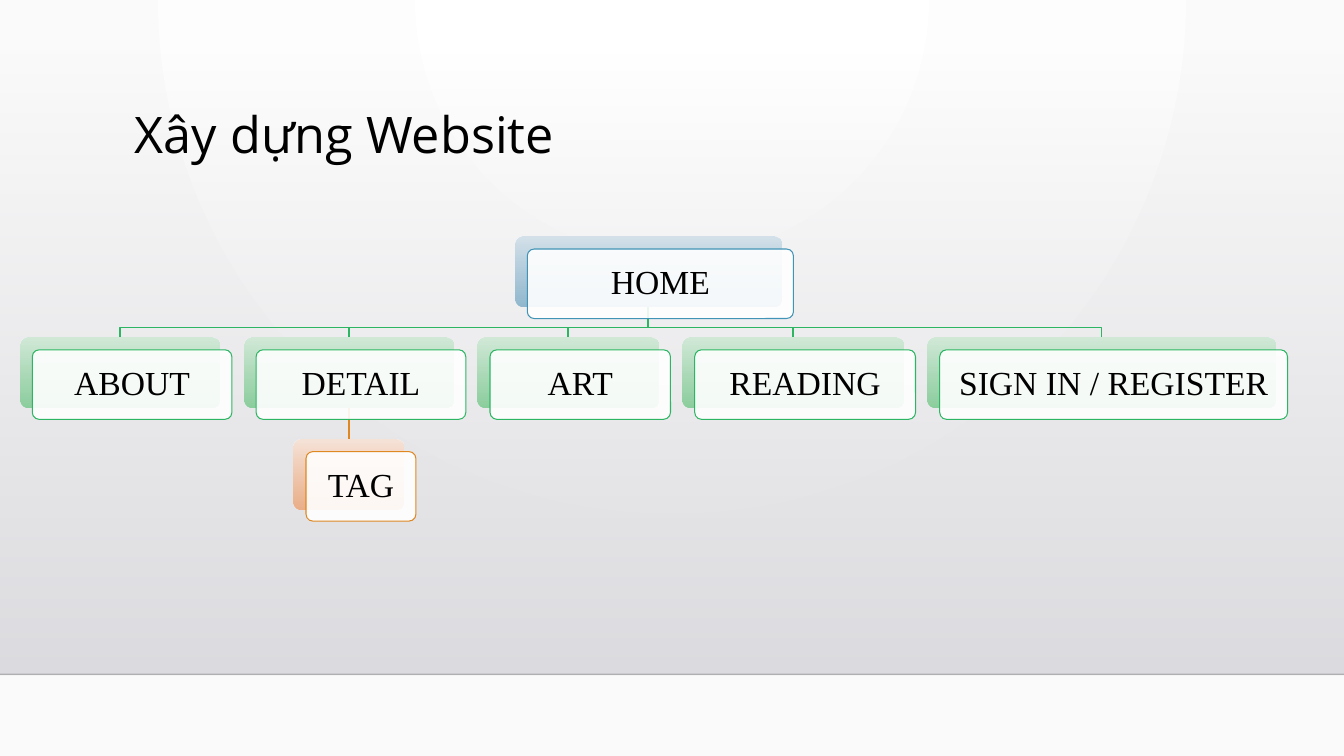
from lxml.etree import SubElement
from pptx import Presentation
from pptx.dml.color import RGBColor
from pptx.enum.shapes import MSO_CONNECTOR, MSO_SHAPE
from pptx.enum.text import MSO_ANCHOR, PP_ALIGN
from pptx.oxml.ns import qn
from pptx.util import Inches, Pt

BLACK = RGBColor(0x00, 0x00, 0x00)
WHITE = RGBColor(0xFF, 0xFF, 0xFF)
FLOOR = RGBColor(0xFA, 0xFA, 0xFA)
WALL_TOP = RGBColor(0xDC, 0xDC, 0xE0)
WALL_BOTTOM = RGBColor(0xDE, 0xDE, 0xE2)
BLUE = RGBColor(0x42, 0x94, 0xB6)
BLUE_LIGHT = RGBColor(0xD4, 0xE1, 0xEA)
BLUE_MIDDLE = RGBColor(0x8A, 0xB4, 0xCC)
GREEN = RGBColor(0x2C, 0xB6, 0x63)
GREEN_LIGHT = RGBColor(0xD2, 0xE9, 0xD8)
GREEN_MIDDLE = RGBColor(0x85, 0xCC, 0x98)
ORANGE = RGBColor(0xDF, 0x88, 0x22)
ORANGE_LIGHT = RGBColor(0xF7, 0xE3, 0xD8)
ORANGE_MIDDLE = RGBColor(0xEB, 0xAB, 0x82)

BLUE_THEME = (BLUE, BLUE_LIGHT, BLUE_MIDDLE)
GREEN_THEME = (GREEN, GREEN_LIGHT, GREEN_MIDDLE)
ORANGE_THEME = (ORANGE, ORANGE_LIGHT, ORANGE_MIDDLE)

WIDTH, HEIGHT = 13.33, 7.5
FLOOR_TOP = 6.69
CARD_HEIGHT = 0.69
CARD_OFFSET = 0.12
CARD_GAP = 0.24
HOME_LEFT, HOME_TOP, HOME_WIDTH = 5.11, 2.35, 2.64
MENU_LEFT, MENU_TOP = 0.2, 3.35
TAG_TOP, TAG_WIDTH = 4.36, 1.09
BRANCH_TOP = 3.25
MENU = [("ABOUT", 1.98), ("DETAIL", 2.08), ("ART", 1.79),
        ("READING", 2.19), ("SIGN IN / REGISTER", 3.45)]


def set_alpha(color_element, percent):
    SubElement(color_element, qn("a:alpha")).set("val", str(percent * 1000))


def set_gradient(fill, colors):
    fill.gradient()
    for stop, position, color in zip(fill.gradient_stops, (0, 1), colors):
        stop.position = position
        stop.color.rgb = color


def write_text(shape, text, size=24, font="Times New Roman", color=BLACK,
               align=PP_ALIGN.CENTER, anchor=MSO_ANCHOR.MIDDLE, inset=0.1):
    frame = shape.text_frame
    frame.word_wrap = True
    frame.vertical_anchor = anchor
    frame.margin_top = frame.margin_bottom = Inches(inset)
    frame.margin_left = frame.margin_right = Inches(0.1)
    para = frame.paragraphs[0]
    para.alignment = align
    para.line_spacing = 0.9
    span = para.add_run()
    span.text = text
    span.font.size = Pt(size)
    span.font.name = font
    span.font.color.rgb = color


class SitemapPage:
    def __init__(self, page):
        self.page = page
        self.shapes = page.shapes

    def background(self, colors):
        fill = self.page.background.fill
        set_gradient(fill, colors)
        gradient = self.page.element.find(".//" + qn("a:gradFill"))
        gradient.remove(gradient.find(qn("a:lin")))
        circle = SubElement(gradient, qn("a:path"))
        circle.set("path", "circle")
        focus = SubElement(circle, qn("a:fillToRect"))
        for side, value in zip("ltrb", (43000, 0, 43000, 100000)):
            focus.set(side, str(value))

    def gradient_box(self, kind, left, top, width, height, colors, alphas):
        box = self.shapes.add_shape(kind, Inches(left), Inches(top),
                                    Inches(width), Inches(height))
        box.shadow.inherit = False
        box.line.fill.background()
        set_gradient(box.fill, colors)
        box.fill.gradient_angle = 270
        stops = box.element.findall(".//" + qn("a:gs"))
        for stop, alpha in zip(stops, alphas):
            set_alpha(stop[0], alpha)
        return box

    def line(self, start, end, color, width, alpha=100):
        connector = self.shapes.add_connector(
            MSO_CONNECTOR.STRAIGHT, *(Inches(value) for value in start + end))
        connector.line.color.rgb = color
        connector.line.width = Pt(width)
        set_alpha(connector.element.find(".//" + qn("a:srgbClr")), alpha)
        SubElement(connector.element.spPr, qn("a:effectLst"))
        return connector

    def branch(self, points, color):
        corners = [(Inches(x), Inches(y)) for x, y in points]
        builder = self.shapes.build_freeform(*corners[0])
        builder.add_line_segments(corners[1:], close=False)
        shape = builder.convert_to_shape()
        shape.shadow.inherit = False
        shape.fill.background()
        shape.line.color.rgb = color
        shape.line.width = Pt(1.25)

    def card(self, text, left, top, width, theme):
        edge, light, middle = theme
        back = self.gradient_box(MSO_SHAPE.ROUNDED_RECTANGLE, left, top, width,
                                 CARD_HEIGHT, (light, middle), (100, 92))
        front = self.shapes.add_shape(
            MSO_SHAPE.ROUNDED_RECTANGLE, Inches(left + CARD_OFFSET),
            Inches(top + CARD_OFFSET), Inches(width), Inches(CARD_HEIGHT))
        back.adjustments[0] = front.adjustments[0] = 0.1
        front.shadow.inherit = False
        front.fill.solid()
        front.fill.fore_color.rgb = WHITE
        set_alpha(front.element.find(".//" + qn("a:srgbClr")), 90)
        front.line.color.rgb = edge
        front.line.width = Pt(0.75)
        write_text(front, text)
        return back

    def title(self, text):
        box = self.shapes.add_textbox(Inches(1.24), Inches(1.04),
                                      Inches(10.5), Inches(1.15))
        write_text(box, text, size=36, font="Open Sans", align=PP_ALIGN.LEFT,
                   anchor=MSO_ANCHOR.TOP, inset=0.05)


def main():
    deck = Presentation()
    deck.slide_width, deck.slide_height = Inches(WIDTH), Inches(HEIGHT)
    sitemap = SitemapPage(deck.slides.add_slide(deck.slide_layouts[6]))

    sitemap.background((WHITE, FLOOR))
    sitemap.gradient_box(MSO_SHAPE.RECTANGLE, 0, 0.51, WIDTH, FLOOR_TOP - 0.51,
                         (WALL_TOP, WALL_BOTTOM), (0, 100))
    sitemap.line((0, FLOOR_TOP), (WIDTH, FLOOR_TOP), BLACK, 1, alpha=20)
    sitemap.title("Xây dựng Website")

    lefts = [MENU_LEFT]
    for _, width in MENU[:-1]:
        lefts.append(lefts[-1] + width + CARD_GAP)
    centers = [left + width / 2 for left, (_, width) in zip(lefts, MENU)]

    home_center = HOME_LEFT + HOME_WIDTH / 2
    for center in centers:
        sitemap.branch([(home_center, HOME_TOP + CARD_HEIGHT),
                        (home_center, BRANCH_TOP),
                        (center, BRANCH_TOP), (center, MENU_TOP)], GREEN)
    tag_center = centers[1]
    tag_line = sitemap.line((tag_center, MENU_TOP + CARD_HEIGHT),
                            (tag_center, TAG_TOP), ORANGE, 1.25)

    sitemap.card("HOME", HOME_LEFT, HOME_TOP, HOME_WIDTH, BLUE_THEME)
    cards = [sitemap.card(text, left, MENU_TOP, width, GREEN_THEME)
             for left, (text, width) in zip(lefts, MENU)]
    tag = sitemap.card("TAG", tag_center - TAG_WIDTH / 2, TAG_TOP, TAG_WIDTH,
                       ORANGE_THEME)
    tag_line.begin_connect(cards[1], 2)
    tag_line.end_connect(tag, 0)

    deck.save("out.pptx")


if __name__ == "__main__":
    main()
